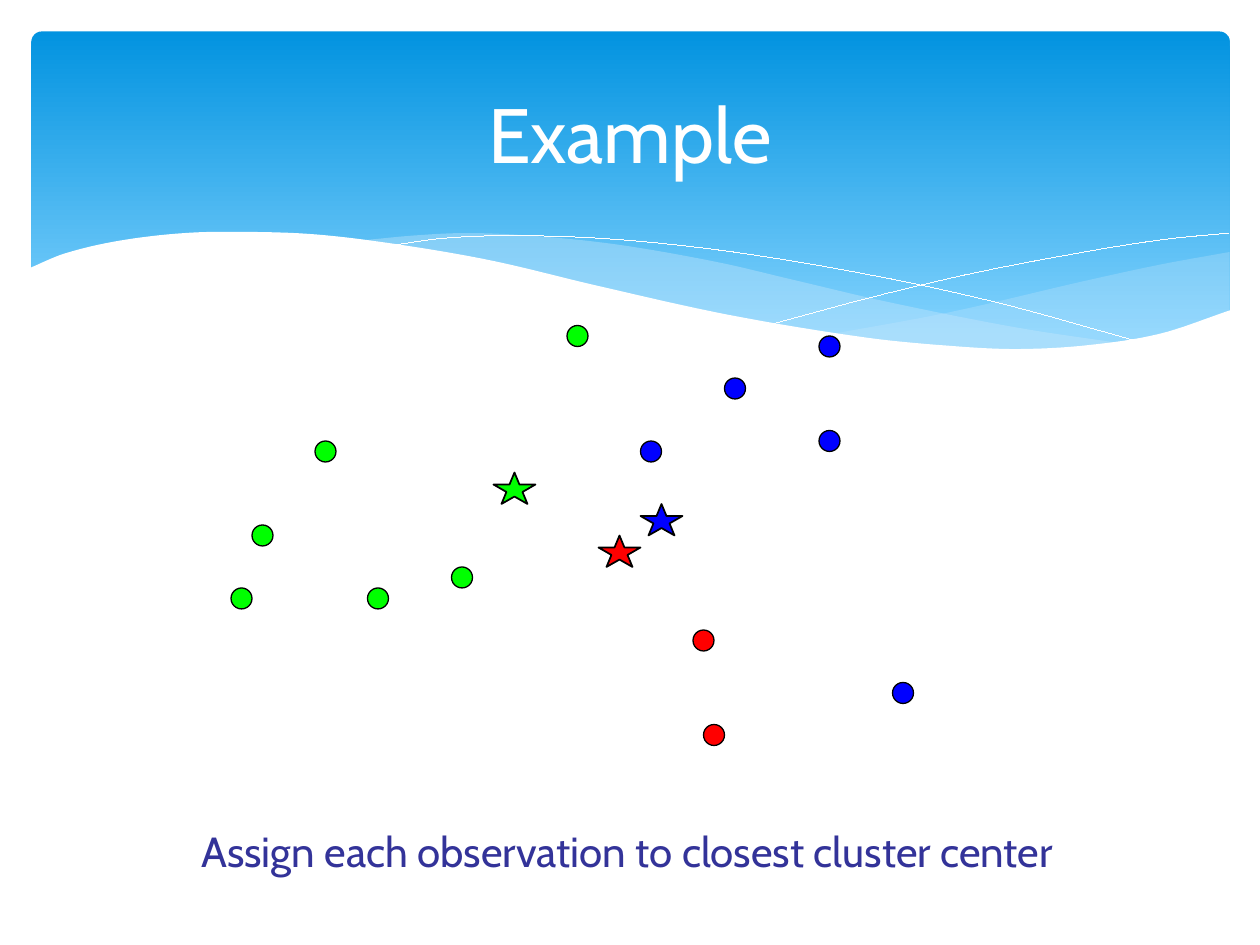
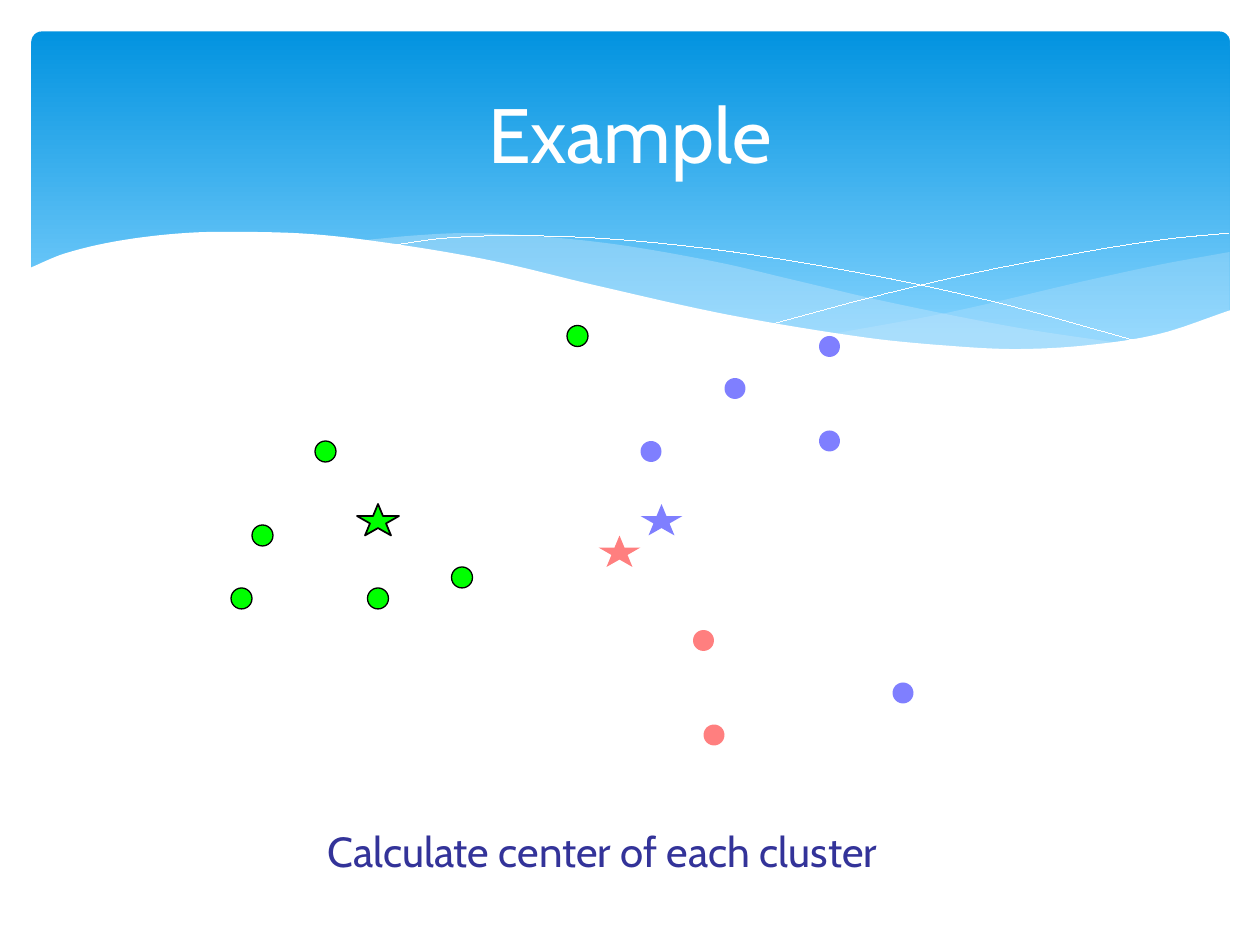
from lxml import etree
from pptx import Presentation
from pptx import util as u
from pptx.dml.color import RGBColor
from pptx.enum import shapes, text
from pptx.oxml.ns import qn

HUES = {
    "top": "0293E0", "low": "83D3FE", "mist": "C6E7FC", "white": "FFFFFF",
    "ink": "333399", "black": "000000",
    "green": "00FF00", "red": "FF0000", "blue": "0000FF",
}
FONT = "Cabin"
HAIR = 0.01
GRID = 12
DOT = (2, 2)
STAR = (4, 3)

CREST = [(0.23, 2.13), (0.52, 2.01), (0.95, 1.91), (1.46, 1.85), (1.93, 1.84),
         (2.5, 1.86), (3.16, 1.94), (3.91, 2.07), (4.75, 2.27), (5.79, 2.5),
         (6.88, 2.68), (7.61, 2.75), (8.09, 2.77), (8.63, 2.74), (9.2, 2.65),
         (9.77, 2.46)]
FLOOR = [(0.23, 3.29), (9.77, 3.29)]
MID_TOP = [(2.86, 1.91), (3.28, 1.87), (3.7, 1.85), (4.2, 1.87), (4.89, 1.94),
           (5.69, 2.08), (6.29, 2.22), (7.06, 2.4), (8.07, 2.6), (8.93, 2.73)]
MID_LOW = [(2.86, 1.91), (3.62, 2.03), (4.49, 2.22), (5.3, 2.4), (6.18, 2.58),
           (6.95, 2.7), (7.61, 2.77), (8.1, 2.78), (8.57, 2.77), (8.93, 2.73)]
END_TOP = [(6.61, 2.65), (7.53, 2.48), (8.61, 2.23), (9.21, 2.1), (9.76, 2)]
END_LOW = [(6.61, 2.65), (7.19, 2.72), (7.69, 2.77), (8.14, 2.78), (8.63, 2.75),
           (9.13, 2.67), (9.76, 2.47)]
FALL = [(3.09, 1.95), (3.53, 1.89), (4.1, 1.87), (4.89, 1.9), (5.82, 2),
        (6.95, 2.19), (7.95, 2.41), (9.07, 2.72)]
RISE = [(6.13, 2.57), (6.95, 2.35), (7.76, 2.16), (8.66, 1.99), (9.24, 1.9),
        (9.75, 1.85)]

GROUPS = {
    "green": [(24, 50), (30, 42), (35, 56), (54, 31), (22, 56), (43, 54)],
    "blue": [(78, 32), (61, 42), (69, 36), (85, 65), (78, 41)],
    "red": [(67, 69), (66, 60)],
}
CENTERS = {"green": (47, 45), "red": (57, 51), "blue": (61, 48)}
MOVED = {**CENTERS, "green": (34, 48)}


def smooth(knots, parts=8):
    last = len(knots) - 1
    slopes = []
    for i in range(last + 1):
        (xa, ya), (xb, yb) = knots[max(i - 1, 0)], knots[min(i + 1, last)]
        slopes.append((yb - ya) / (xb - xa))
    points = [knots[0]]
    for i in range(last):
        (xa, ya), (xb, yb) = knots[i], knots[i + 1]
        gap = xb - xa
        for n in range(1, parts + 1):
            t = n / parts
            ease = t * t * (3 - 2 * t)
            bend = t * (1 - t) ** 2 * slopes[i] - t * t * (1 - t) * slopes[i + 1]
            points.append((xa + gap * t, ya + (yb - ya) * ease + gap * bend))
    return points


def inches(values):
    return [u.Inches(n) for n in values]


def cells(values):
    return inches(n / GRID for n in values)


class Deck:
    def __init__(self):
        self.show = Presentation()
        self.show.slide_width, self.show.slide_height = inches((10, 7.5))

    def start(self):
        self.slide = self.show.slides.add_slide(self.show.slide_layouts[6])
        self.band()
        self.area(END_TOP, smooth(END_LOW), "mist", 29)
        self.area(MID_TOP, smooth(MID_LOW), "mist", 40)
        self.curve(smooth(FALL), line="white", width=HAIR)
        self.curve(smooth(RISE), line="white", width=HAIR)
        self.area(CREST, FLOOR, "white")

    def tint(self, name):
        return RGBColor.from_string(HUES[name])

    def paint(self, shape, fill=None, alpha=100, line=None, width=0):
        shape.shadow.inherit = False
        if fill:
            shape.fill.solid()
            shape.fill.fore_color.rgb = self.tint(fill)
            if alpha < 100:
                color = shape.fill._xPr.find(qn("a:solidFill"))[0]
                etree.SubElement(color, qn("a:alpha"), val=str(alpha * 1000))
        else:
            shape.fill.background()
        if line:
            shape.line.color.rgb = self.tint(line)
            shape.line.width = u.Pt(width)
        else:
            shape.line.fill.background()

    def band(self):
        shape = self.slide.shapes.add_shape(
            shapes.MSO_SHAPE.ROUNDED_RECTANGLE, *inches((0.25, 0.25, 9.51, 2.7)))
        shape.adjustments[0] = 0.03
        self.paint(shape)
        shape.fill.gradient()
        shape.fill.gradient_angle = 270
        stops = shape.fill.gradient_stops
        for stop, name, place in zip(stops, ("top", "low"), (0, 0.9)):
            stop.color.rgb = self.tint(name)
            stop.position = place

    def curve(self, points, **style):
        first, *rest = [inches(point) for point in points]
        pen = self.slide.shapes.build_freeform(*first)
        pen.add_line_segments(rest, close="fill" in style)
        self.paint(pen.convert_to_shape(), **style)

    def area(self, upper, lower, fill, alpha=100):
        self.curve(smooth(upper) + lower[::-1], fill=fill, alpha=alpha)

    def mark(self, kind, spot, size, name, width, faded):
        shape = self.slide.shapes.add_shape(kind, *cells(spot + size))
        if name in faded:
            self.paint(shape, name, 50)
        else:
            self.paint(shape, name, line="black", width=width)

    def dot(self, spot, name, faded):
        self.mark(shapes.MSO_SHAPE.OVAL, spot, DOT, name, 0.75, faded)

    def star(self, spot, name, faded):
        self.mark(shapes.MSO_SHAPE.STAR_5_POINT, spot, STAR, name, 1, faded)

    def label(self, words, box, size, color, align, anchor):
        frame = self.slide.shapes.add_textbox(*inches(box)).text_frame
        frame.word_wrap = True
        frame.vertical_anchor = anchor
        par = frame.paragraphs[0]
        par.text = words
        par.alignment = align
        par.font.name = FONT
        par.font.size = u.Pt(size)
        par.font.color.rgb = self.tint(color)

    def title(self, words):
        self.label(words, (0.5, 0.37, 9, 1.37), 44, "white",
                   text.PP_ALIGN.CENTER, text.MSO_ANCHOR.MIDDLE)

    def caption(self, words, left, width):
        self.label(words, (left, 6.5, width, 0.5), 24, "ink",
                   text.PP_ALIGN.LEFT, text.MSO_ANCHOR.TOP)

    def step(self, words, left, width, centers, faded=()):
        self.start()
        for name, spots in GROUPS.items():
            for spot in spots:
                self.dot(spot, name, faded)
        for name, spot in centers.items():
            self.star(spot, name, faded)
        self.caption(words, left, width)
        self.title("Example")


def main():
    deck = Deck()
    deck.step("Assign each observation to closest cluster center", 1.5, 7.33, CENTERS)
    deck.step("Calculate center of each cluster", 2.5, 5.58, MOVED, ("red", "blue"))
    deck.show.save("out.pptx")


if __name__ == "__main__":
    main()
